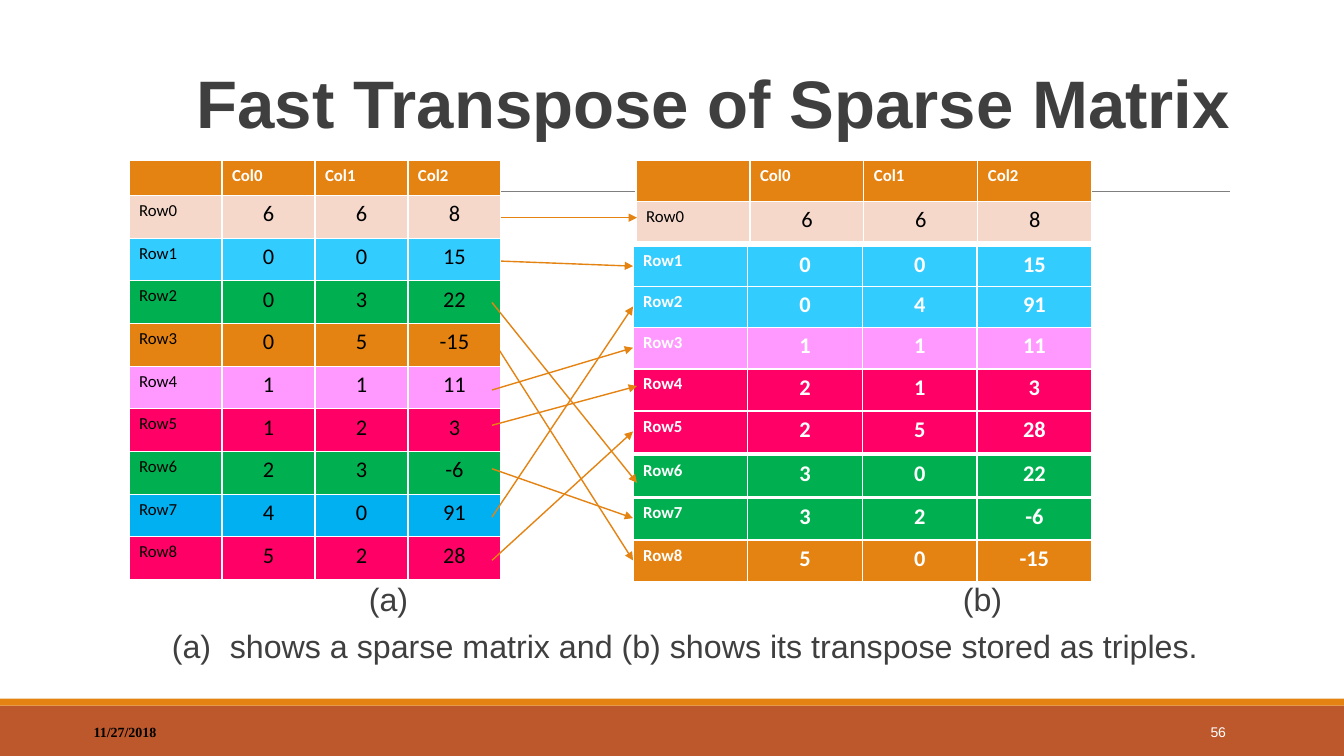
from dataclasses import dataclass
from typing import NamedTuple

from lxml.etree import SubElement
from pptx import Presentation
from pptx.dml.color import RGBColor
from pptx.enum.shapes import MSO_CONNECTOR as Link, MSO_SHAPE as Form
from pptx.enum.text import MSO_ANCHOR as Anchor, MSO_AUTO_SIZE as Fit, PP_ALIGN as Align
from pptx.oxml.ns import qn
from pptx.util import Pt

WHITE = RGBColor(0xFF, 0xFF, 0xFF)
BLACK = RGBColor(0x00, 0x00, 0x00)
DARK = RGBColor(0x3F, 0x3F, 0x3F)
GREY = RGBColor(0x7F, 0x7F, 0x7F)
RUST = RGBColor(0xBD, 0x58, 0x2C)
ORANGE = RGBColor(0xE4, 0x83, 0x12)
PEACH = RGBColor(0xF5, 0xD8, 0xCA)
SKY = RGBColor(0x33, 0xCC, 0xFF)
BLUE = RGBColor(0x00, 0xB0, 0xF0)
GREEN = RGBColor(0x00, 0xB0, 0x50)
PINK = RGBColor(0xFF, 0x99, 0xFF)
RED = RGBColor(0xFF, 0x00, 0x66)


class Row(NamedTuple):
    fill: RGBColor
    cells: tuple[str, ...]
    high: float
    ink: RGBColor = BLACK
    bold: bool = False


@dataclass
class Grid:
    left: float
    top: float
    col: float
    rows: list[Row]


class Arrow(NamedTuple):
    x1: float
    y1: float
    x2: float
    y2: float


class Label(NamedTuple):
    text: str
    left: float
    wide: float
    font: str
    ink: RGBColor
    bold: bool
    align: Align


def set_font(para, name: str, size: float, ink: RGBColor, bold: bool = False) -> None:
    font = para.font
    font.name, font.size, font.bold = name, Pt(size), bold
    font.color.rgb = ink


def add_band(slide, top: float, high: float, fill: RGBColor) -> None:
    band = slide.shapes.add_shape(Form.RECTANGLE, 0, Pt(top), Pt(960), Pt(high))
    band.shadow.inherit = False
    band.fill.solid()
    band.fill.fore_color.rgb = fill
    band.line.fill.background()


def add_line(slide, ends: Arrow, ink: RGBColor, width: float, head: bool = True) -> None:
    line = slide.shapes.add_connector(Link.STRAIGHT, *(Pt(v) for v in ends))
    line.line.color.rgb = ink
    line.line.width = Pt(width)
    if head:
        SubElement(line.line._get_or_add_ln(), qn("a:tailEnd"), type="triangle")
    SubElement(line._element.spPr, qn("a:effectLst"))


def add_grid(slide, grid: Grid) -> None:
    high = sum(row.high for row in grid.rows)
    table = slide.shapes.add_table(
        len(grid.rows), 4, Pt(grid.left), Pt(grid.top), Pt(4 * grid.col), Pt(high)).table
    table.horz_banding = False
    for col in table.columns:
        col.width = Pt(grid.col)
    for r, row in enumerate(grid.rows):
        table.rows[r].height = Pt(row.high)
        for c, text in enumerate(row.cells):
            cell = table.cell(r, c)
            cell.fill.solid()
            cell.fill.fore_color.rgb = row.fill
            cell.text = text
            para = cell.text_frame.paragraphs[0]
            value = c > 0 and row.cells[0] != ""
            set_font(para, "Calibri", 16 if value else 12, row.ink, row.bold)
            if value:
                para.alignment = Align.CENTER


def add_label(slide, label: Label) -> None:
    frame = slide.shapes.add_textbox(
        Pt(label.left), Pt(508.3), Pt(label.wide), Pt(28.8)).text_frame
    frame.word_wrap = True
    frame.vertical_anchor = Anchor.MIDDLE
    para = frame.paragraphs[0]
    para.text, para.alignment = label.text, label.align
    set_font(para, label.font, 10, label.ink, label.bold)


def add_tabs(para, stops: tuple[float, ...]) -> None:
    tabs = SubElement(para._p.get_or_add_pPr(), qn("a:tabLst"))
    for stop in stops:
        SubElement(tabs, qn("a:tab"), pos=str(Pt(stop)), algn="l")


HEADS = ("", "Col0", "Col1", "Col2")
SPARSE = [
    (PEACH, "6 6 8"), (SKY, "0 0 15"), (GREEN, "0 3 22"),
    (ORANGE, "0 5 -15"), (PINK, "1 1 11"), (RED, "1 2 3"),
    (GREEN, "2 3 -6"), (BLUE, "4 0 91"), (RED, "5 2 28"),
]
# Fill, values and top of each strip below the first row
STRIPS = [
    (SKY, "0 0 15", 175.7), (SKY, "0 4 91", 204.5), (PINK, "1 1 11", 234),
    (RED, "2 1 3", 263.5), (RED, "2 5 28", 293.8), (GREEN, "3 0 22", 325.4),
    (GREEN, "3 2 -6", 355.7), (ORANGE, "5 0 -15", 385.9),
]
ARROWS = [
    Arrow(357.8, 155.5, 455, 155.5), Arrow(357.8, 186.5, 452.2, 190.1),
    Arrow(351.4, 216, 455, 344.9), Arrow(351.4, 241.9, 452.2, 400.3),
    Arrow(351.4, 278.6, 452.2, 248.4), Arrow(351.4, 303.8, 455, 275.8),
    Arrow(351.4, 334.8, 452.2, 370.1), Arrow(351.4, 369.4, 452.2, 218.9),
    Arrow(351.4, 400.3, 452.2, 308.2),
]
NOTES = [
    ("\t(a)\t(b)", (179.3, 603.6), 0),
    ("\t(a)\tshows a sparse matrix and (b) shows its transpose stored as triples.",
     (38.6, 80), 14),
]
LABELS = [
    Label("11/27/2018", 59.8, 216, "Times New Roman", BLACK, True, Align.LEFT),
    Label("56", 779.8, 103, "Arial", WHITE, False, Align.RIGHT),
]


def main() -> None:
    deck = Presentation()
    deck.slide_width, deck.slide_height = Pt(960), Pt(540)
    slide = deck.slides.add_slide(deck.slide_layouts[5])

    # Footer bands and title rule
    add_band(slide, 504, 36, RUST)
    add_band(slide, 499, 5, ORANGE)
    add_line(slide, Arrow(94.3, 136.8, 878.4, 136.8), GREY, 0.75, head=False)

    # Title
    title = slide.shapes.title
    title.left, title.top, title.width, title.height = Pt(133.2), Pt(28.8), Pt(792), Pt(76.3)
    frame = title.text_frame
    frame.text = "Fast Transpose of Sparse Matrix"
    frame.auto_size, frame.vertical_anchor = Fit.NONE, Anchor.BOTTOM
    para = frame.paragraphs[0]
    para.alignment, para.line_spacing = Align.LEFT, 0.85
    set_font(para, "Arial", 48, DARK, True)

    # Captions
    frame = slide.shapes.add_textbox(Pt(84.2), Pt(417.7), Pt(792), Pt(63)).text_frame
    frame.word_wrap = True
    frame.margin_left = frame.margin_right = 0
    for i, (text, stops, gap) in enumerate(NOTES):
        para = frame.add_paragraph() if i else frame.paragraphs[0]
        para.text = text
        add_tabs(para, stops)
        para.line_spacing, para.space_before = 0.7, Pt(gap)
        set_font(para, "Arial", 23, DARK)

    # Transposed matrix: head table, then one strip per row
    add_grid(slide, Grid(454.3, 114.5, 81.4, [
        Row(ORANGE, HEADS, 29.5, WHITE, True),
        Row(PEACH, ("Row0", "6", "6", "8"), 28.8)]))
    for i, (fill, vals, top) in enumerate(STRIPS, 1):
        row = Row(fill, (f"Row{i}", *vals.split()), 29.5, WHITE, True)
        add_grid(slide, Grid(452.2, top, 81.9, [row]))

    # Sparse matrix
    rows = [Row(fill, (f"Row{i}", *vals.split()), 30.5)
            for i, (fill, vals) in enumerate(SPARSE)]
    add_grid(slide, Grid(92.2, 114.5, 66.4, [Row(ORANGE, HEADS, 25.2, WHITE, True), *rows]))

    # Arrows from each row to its new place
    for arrow in ARROWS:
        add_line(slide, arrow, ORANGE, 1)

    # Date and page number
    for label in LABELS:
        add_label(slide, label)

    deck.save("out.pptx")


if __name__ == "__main__":
    main()
